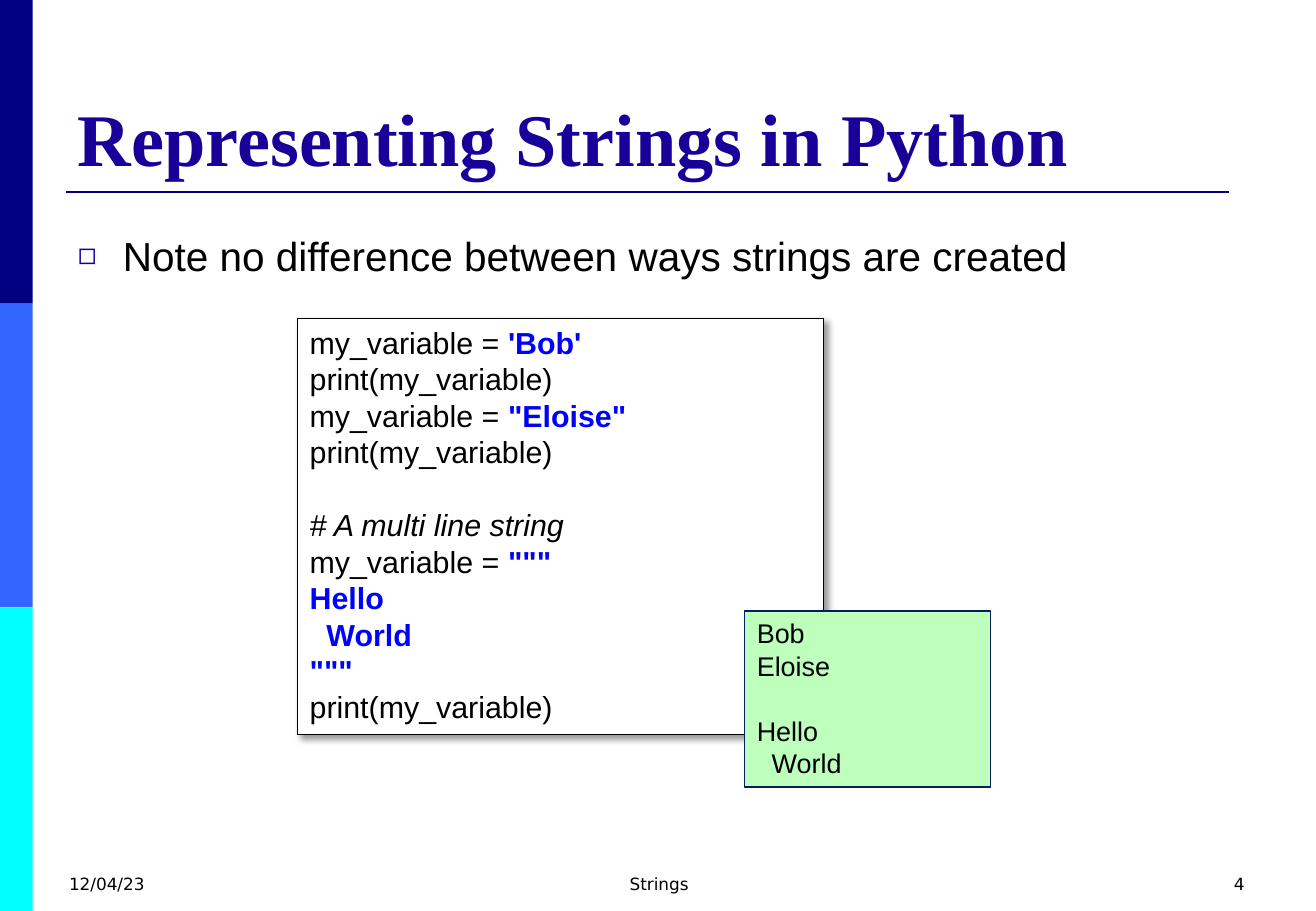
from typing import NamedTuple

from lxml import etree
from pptx import Presentation
from pptx import util as u
from pptx.dml.color import RGBColor
from pptx.enum import shapes, text
from pptx.oxml import ns

NAVY = RGBColor(0x00, 0x00, 0x80)
BLUE = RGBColor(0x33, 0x66, 0xFF)
CYAN = RGBColor(0x00, 0xFF, 0xFF)
TITLE_BLUE = RGBColor(0x17, 0x01, 0x99)
STRING_BLUE = RGBColor(0x00, 0x00, 0xFF)
OUTPUT_GREEN = RGBColor(0xBE, 0xFF, 0xBE)
OUTPUT_EDGE = RGBColor(0x00, 0x20, 0x60)
BLACK = RGBColor(0x00, 0x00, 0x00)
WHITE = RGBColor(0xFF, 0xFF, 0xFF)


class Line(NamedTuple):
    plain: str = ""
    string: str = ""
    comment: str = ""
    gap_above: bool = False


class Panel(NamedTuple):
    left: float
    top: float
    width: float
    height: float
    fill: RGBColor
    edge: RGBColor
    size: int
    shadow: bool
    lines: list[Line]


class Footer(NamedTuple):
    left: float
    width: float
    label: str
    alignment: text.PP_ALIGN


PANELS = [
    Panel(2.45, 2.62, 4.33, 3.43, WHITE, BLACK, 18, True, [
        Line("my_variable = ", "'Bob'"),
        Line("print(my_variable)"),
        Line("my_variable = ", '"Eloise"'),
        Line("print(my_variable)"),
        Line(comment="# A multi line string", gap_above=True),
        Line("my_variable = ", '"""'),
        Line(string="Hello"),
        Line(string="  World"),
        Line(string='"""'),
        Line("print(my_variable)"),
    ]),
    Panel(6.13, 5.03, 2.02, 1.45, OUTPUT_GREEN, OUTPUT_EDGE, 16, False, [
        Line("Bob"),
        Line("Eloise"),
        Line("Hello", gap_above=True),
        Line("  World"),
    ]),
]

FOOTERS = [
    Footer(0.47, 2.53, "12/04/23", text.PP_ALIGN.LEFT),
    Footer(3.71, 3.43, "Strings", text.PP_ALIGN.CENTER),
    Footer(7.81, 2.53, "4", text.PP_ALIGN.RIGHT),
]


def style(font, name: str, size: float, color: RGBColor, bold: bool = False) -> None:
    font.name, font.size, font.bold = name, u.Pt(size), bold
    font.color.rgb = color


def place(shape, left: float, top: float, width: float, height: float) -> None:
    shape.left, shape.top = u.Inches(left), u.Inches(top)
    shape.width, shape.height = u.Inches(width), u.Inches(height)


def add_element(parent, tag: str, **attributes: str):
    return etree.SubElement(parent, ns.qn(tag), attributes)


def add_rectangle(slide, left: float, top: float, width: float, height: float, fill: RGBColor):
    shape = slide.shapes.add_shape(
        shapes.MSO_SHAPE.RECTANGLE,
        u.Inches(left), u.Inches(top), u.Inches(width), u.Inches(height))
    shape.shadow.inherit = False
    shape.fill.solid()
    shape.fill.fore_color.rgb = fill
    shape.line.fill.background()
    return shape


def add_shadow(shape) -> None:
    effects = shape._element.spPr.find(ns.qn("a:effectLst"))
    shadow = add_element(effects, "a:outerShdw", blurRad=str(u.Pt(4)),
                         dist=str(u.Pt(3)), dir="2700000", algn="tl", rotWithShape="0")
    color = add_element(shadow, "a:srgbClr", val=str(BLACK))
    add_element(color, "a:alpha", val="40000")


def add_frame(slide) -> None:
    """Draw the side bars and the rule under the title."""
    for row, color in enumerate((NAVY, BLUE, CYAN)):
        add_rectangle(slide, 0, 2.5 * row, 0.27, 2.5, color)
    rule = slide.shapes.add_connector(
        shapes.MSO_CONNECTOR.STRAIGHT,
        u.Inches(0.54), u.Inches(1.58), u.Inches(10.11), u.Inches(1.58))
    rule.line.color.rgb = NAVY
    rule.line.width = u.Pt(1.5)
    add_element(rule._element.spPr, "a:effectLst")


def fill_title(title) -> None:
    place(title, 0.54, 0.3, 9.75, 1.24)
    frame = title.text_frame
    frame.text = "Representing Strings in Python"
    frame.vertical_anchor = text.MSO_ANCHOR.BOTTOM
    paragraph = frame.paragraphs[0]
    paragraph.alignment = text.PP_ALIGN.LEFT
    style(paragraph.runs[0].font, "Times New Roman", 44, TITLE_BLUE, True)


def fill_body(body) -> None:
    place(body, 0.54, 1.75, 9.75, 1.81)
    body.text_frame.text = "Note no difference between ways strings are created"
    paragraph = body.text_frame.paragraphs[0]
    paragraph.line_spacing = 1.25
    paragraph.space_before = u.Pt(0)
    properties = paragraph._p.get_or_add_pPr()
    properties.set("marL", str(u.Inches(0.37)))
    properties.set("indent", str(u.Inches(-0.37)))
    color = add_element(properties, "a:buClr")
    add_element(color, "a:srgbClr", val=str(TITLE_BLUE))
    add_element(properties, "a:buSzPct", val="75000")
    add_element(properties, "a:buChar", char="◻")
    style(paragraph.runs[0].font, "Arial", 24, BLACK)


def add_panel(slide, panel: Panel) -> None:
    shape = add_rectangle(slide, *panel[:5])
    shape.line.color.rgb = panel.edge
    shape.line.width = u.Pt(0.75)
    if panel.shadow:
        add_shadow(shape)
    frame = shape.text_frame
    frame.word_wrap = True
    frame.vertical_anchor = text.MSO_ANCHOR.TOP
    for index, line in enumerate(panel.lines):
        paragraph = frame.add_paragraph() if index else frame.paragraphs[0]
        paragraph.alignment = text.PP_ALIGN.LEFT
        if line.gap_above:
            paragraph.space_before = u.Pt(1.2 * panel.size)
        for content in filter(None, (line.plain, line.string, line.comment)):
            run = paragraph.add_run()
            run.text = content
            is_string = content == line.string
            style(run.font, "Arial", panel.size, STRING_BLUE if is_string else BLACK, is_string)
            run.font.italic = content == line.comment


def add_footer(slide, footer: Footer) -> None:
    box = slide.shapes.add_textbox(
        u.Inches(footer.left), u.Inches(7.14), u.Inches(footer.width), u.Inches(0.36))
    box.text_frame.word_wrap = True
    box.text_frame.text = footer.label
    paragraph = box.text_frame.paragraphs[0]
    paragraph.alignment = footer.alignment
    style(paragraph.runs[0].font, "DejaVu Sans", 10, BLACK)


def main() -> None:
    presentation = Presentation()
    presentation.slide_width = u.Inches(10.83)
    presentation.slide_height = u.Inches(7.5)
    slide = presentation.slides.add_slide(presentation.slide_layouts[1])
    add_frame(slide)
    fill_title(slide.shapes.title)
    fill_body(slide.placeholders[1])
    for footer in FOOTERS:
        add_footer(slide, footer)
    for panel in PANELS:
        add_panel(slide, panel)
    presentation.save("out.pptx")


if __name__ == "__main__":
    main()
